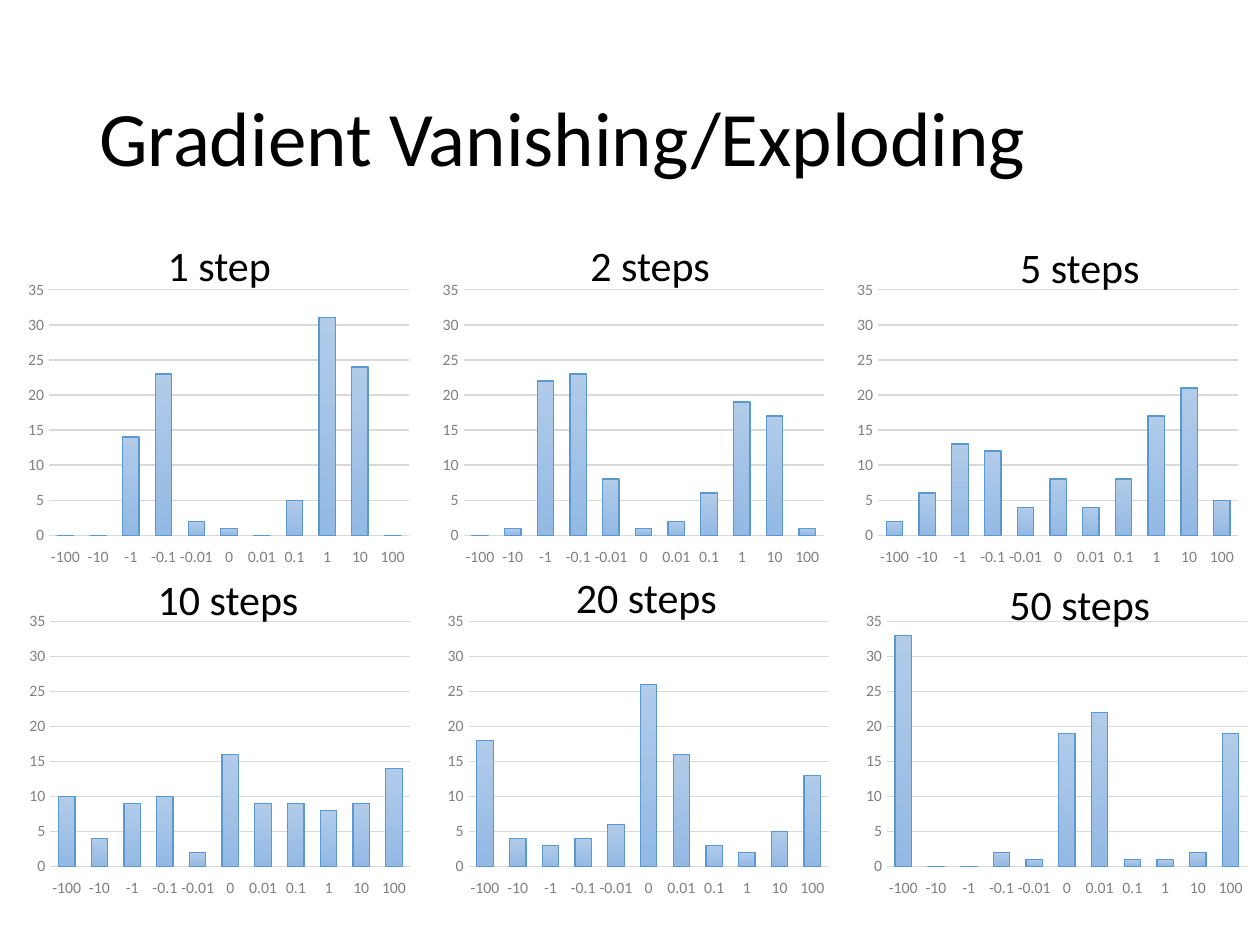
from dataclasses import dataclass

from pptx import Presentation
from pptx import util as u
from pptx.chart.data import CategoryChartData
from pptx.dml.color import RGBColor
from pptx.enum import chart as charts, text


@dataclass(frozen=True)
class Theme:
    font: str = "Calibri"
    ink: RGBColor = RGBColor(0x00, 0x00, 0x00)
    axis_text: RGBColor = RGBColor(0x80, 0x80, 0x80)
    grid: RGBColor = RGBColor(0xD9, 0xD9, 0xD9)
    bar_top: RGBColor = RGBColor(0xB1, 0xCB, 0xE9)
    bar_bottom: RGBColor = RGBColor(0x93, 0xB9, 0xE4)
    bar_line: RGBColor = RGBColor(0x59, 0x98, 0xD0)
    title_size: int = 44
    label_size: int = 24
    chart_size: int = 10
    axis_size: int = 9
    line_width: float = 0.75


class SlideBuilder:
    def __init__(self, slide, theme):
        self.slide = slide
        self.theme = theme

    def style_font(self, font, size, color):
        font.name = self.theme.font
        font.size = u.Pt(size)
        font.color.rgb = color

    def style_line(self, line, color):
        line.color.rgb = color
        line.width = u.Pt(self.theme.line_width)

    def text_box(self, content, left, top, width, height, size):
        box = self.slide.shapes.add_textbox(
            u.Inches(left), u.Inches(top), u.Inches(width), u.Inches(height))
        frame = box.text_frame
        frame.word_wrap = True
        frame.text = content
        paragraph = frame.paragraphs[0]
        self.style_font(paragraph.runs[0].font, size, self.theme.ink)
        return frame, paragraph

    def title(self, content, left, top, width, height):
        frame, paragraph = self.text_box(
            content, left, top, width, height, self.theme.title_size)
        frame.vertical_anchor = text.MSO_ANCHOR.MIDDLE
        paragraph.line_spacing = 0.9

    def step_label(self, content, center, top, width=1.5, height=0.5):
        frame, paragraph = self.text_box(
            content, center - width / 2, top, width, height, self.theme.label_size)
        frame.auto_size = text.MSO_AUTO_SIZE.SHAPE_TO_FIT_TEXT
        paragraph.alignment = text.PP_ALIGN.CENTER

    def histogram(self, bins, counts, left, top, width, height):
        theme = self.theme
        data = CategoryChartData()
        data.categories = bins
        data.add_series("Series 1", counts)
        chart = self.slide.shapes.add_chart(
            charts.XL_CHART_TYPE.COLUMN_CLUSTERED, u.Inches(left), u.Inches(top),
            u.Inches(width), u.Inches(height), data).chart
        chart.has_legend = False
        chart.has_title = False
        self.style_font(chart.font, theme.chart_size, theme.ink)

        # Bars
        plot = chart.plots[0]
        plot.gap_width = 100
        plot.overlap = -24
        plot.vary_by_categories = False
        bars = plot.series[0].format
        bars.fill.gradient()
        bars.fill.gradient_angle = 270
        for stop, color in zip(bars.fill.gradient_stops,
                               (theme.bar_top, theme.bar_bottom)):
            stop.color.rgb = color
        self.style_line(bars.line, theme.bar_line)

        # Axes
        for axis in (chart.category_axis, chart.value_axis):
            axis.major_tick_mark = charts.XL_TICK_MARK.NONE
            axis.minor_tick_mark = charts.XL_TICK_MARK.NONE
            self.style_font(axis.tick_labels.font, theme.axis_size, theme.axis_text)
        chart.category_axis.tick_label_position = charts.XL_TICK_LABEL_POSITION.LOW
        self.style_line(chart.category_axis.format.line, theme.grid)
        values = chart.value_axis
        values.minimum_scale = 0
        values.maximum_scale = 35
        values.major_unit = 5
        values.format.line.fill.background()
        self.style_line(values.major_gridlines.format.line, theme.grid)


BINS = ["-100", "-10", "-1", "-0.1", "-0.01", "0", "0.01", "0.1", "1", "10", "100"]

# Each row: chart left, chart pitch, chart top, then
# (label, label center, label top, counts) per chart
ROWS = [
    (0.16, 3.29, 2.18, [
        ("1 step", 1.74, 1.85, [0, 0, 14, 23, 2, 1, 0, 5, 31, 24, 0]),
        ("2 steps", 5.16, 1.85, [0, 1, 22, 23, 8, 1, 2, 6, 19, 17, 1]),
        ("5 steps", 8.57, 1.87, [2, 6, 13, 12, 4, 8, 4, 8, 17, 21, 5]),
    ]),
    (0.17, 3.32, 4.81, [
        ("10 steps", 1.81, 4.5, [10, 4, 9, 10, 2, 16, 9, 9, 8, 9, 14]),
        ("20 steps", 5.13, 4.49, [18, 4, 3, 4, 6, 26, 16, 3, 2, 5, 13]),
        ("50 steps", 8.57, 4.54, [33, 0, 0, 2, 1, 19, 22, 1, 1, 2, 19]),
    ]),
]


def main():
    deck = Presentation()
    deck.slide_width = u.Inches(10)
    deck.slide_height = u.Inches(7.5)
    builder = SlideBuilder(deck.slides.add_slide(deck.slide_layouts[6]), Theme())

    builder.title("Gradient Vanishing/Exploding", 0.69, 0.4, 8.62, 1.45)

    # Histograms first, so that the labels lie in front
    for left, pitch, top, panels in ROWS:
        for column, (_, _, _, counts) in enumerate(panels):
            builder.histogram(BINS, counts, left + column * pitch, top, 3.15, 2.36)

    # Step labels
    for _, _, _, panels in ROWS:
        for label, center, top, _ in panels:
            builder.step_label(label, center, top)

    deck.save("out.pptx")


if __name__ == "__main__":
    main()
